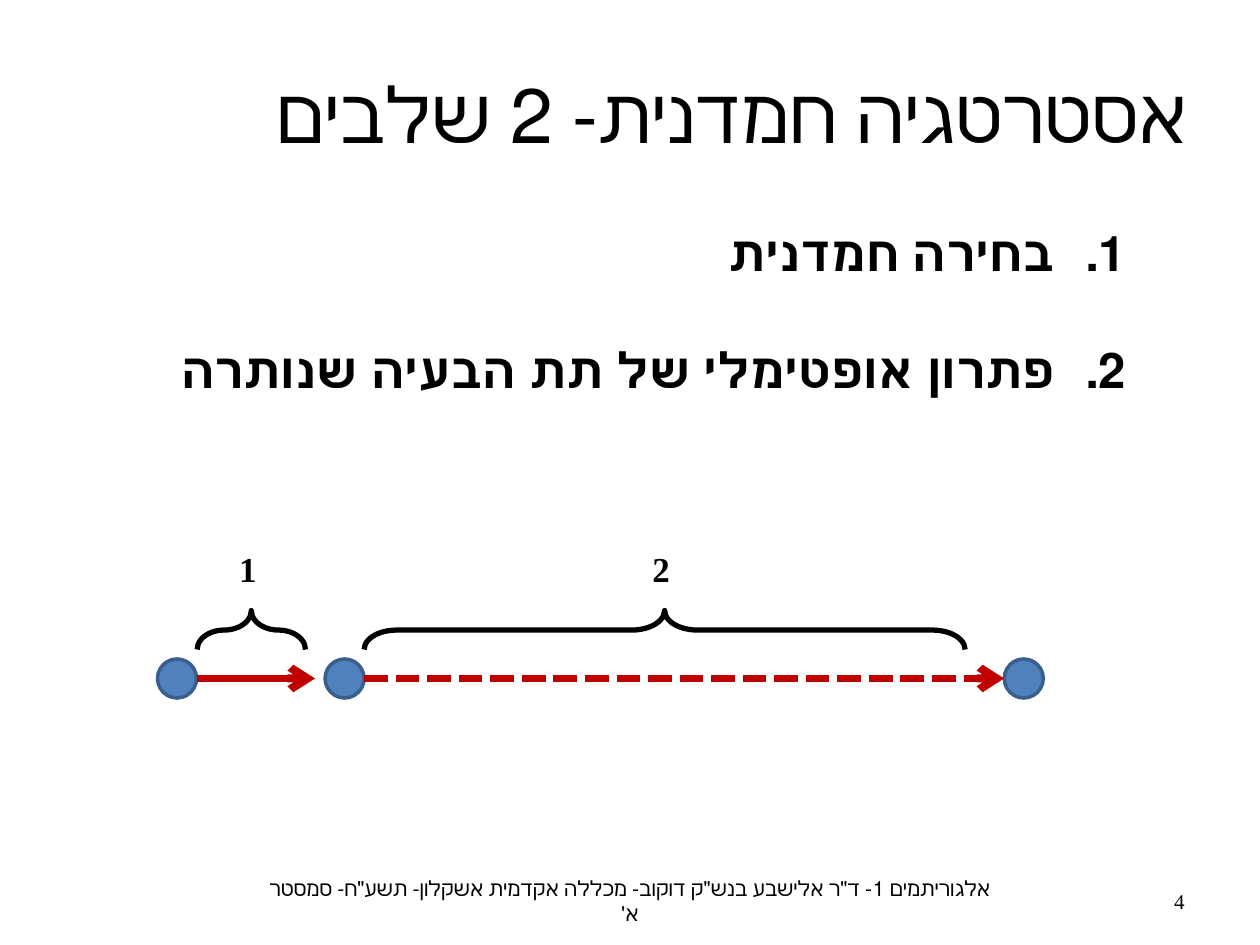
"""Build the slide on the two stages of a greedy strategy."""
from lxml.etree import SubElement
from pptx import Presentation
from pptx.dml.color import RGBColor
from pptx.enum.dml import MSO_LINE_DASH_STYLE as Dash
from pptx.enum.shapes import MSO_CONNECTOR as Connector, MSO_SHAPE as Shape
from pptx.enum.text import MSO_ANCHOR as Anchor, MSO_AUTO_SIZE as Fit, PP_ALIGN as Align
from pptx.oxml.ns import qn
from pptx.util import Inches, Pt

BLACK = RGBColor(0x00, 0x00, 0x00)
BLUE = RGBColor(0x4F, 0x81, 0xBD)
NAVY = RGBColor(0x3A, 0x5F, 0x8C)
RED = RGBColor(0xC0, 0x00, 0x00)
FONT = "Times New Roman"

deck = Presentation()
deck.slide_width, deck.slide_height = Inches(10), Inches(7.5)
COLUMN, ROW = deck.slide_width / 100, deck.slide_height / 75
page = deck.slides.add_slide(deck.slide_layouts[5])


def area(left, top, width, height):
    """Turn grid columns and rows into slide lengths."""
    return [round(left * COLUMN), round(top * ROW), round(width * COLUMN), round(height * ROW)]


def write(box, *texts, size, bold=False, align=Align.LEFT, rtl=False,
          anchor=Anchor.TOP, fit=Fit.NONE, wrap=True, numbered=False, gap=0):
    """Fill a box with one formatted paragraph per text."""
    frame = box.text_frame
    frame.word_wrap, frame.auto_size, frame.vertical_anchor = wrap, fit, anchor
    for index, text in enumerate(texts):
        para = frame.add_paragraph() if index else frame.paragraphs[0]
        para.alignment = align
        properties = para._p.get_or_add_pPr()
        if rtl:
            properties.set("rtl", "1")
        if index:
            para.space_before = Pt(gap)
        if numbered:
            para.level = 1
            properties.set("marL", str(Inches(1.06)))
            properties.set("indent", str(Inches(-0.56)))
            SubElement(properties, qn("a:buFont"), typeface="+mj-lt")
            SubElement(properties, qn("a:buAutoNum"), type="arabicPeriod")
        span = para.add_run()
        span.text = text
        span.font.name, span.font.size, span.font.bold = FONT, Pt(size), bold
        span.font.color.rgb = BLACK


title = page.shapes.title
title.left, title.top, title.width, title.height = area(3.9, 3.1, 91.4, 11.7)
write(title, "אסטרטגיה חמדנית- 2 שלבים", size=44, align=Align.RIGHT, rtl=True, anchor=Anchor.MIDDLE)

footer = page.shapes.add_textbox(*area(20.3, 69.5, 59.4, 4))
write(footer, "אלגוריתמים 1- ד\"ר אלישבע בנש\"ק דוקוב- מכללה אקדמית אשקלון- תשע\"ח- סמסטר א'",
      size=12, align=Align.CENTER, rtl=True, anchor=Anchor.MIDDLE)
number = page.shapes.add_textbox(*area(71.7, 69.5, 23.3, 4))
write(number, "4", size=12, align=Align.RIGHT, anchor=Anchor.MIDDLE)

stages = page.shapes.add_textbox(*area(5.5, 17.2, 89.8, 15.1))
write(stages, "בחירה חמדנית", "פתרון אופטימלי של תת הבעיה שנותרה", size=28, bold=True,
      align=Align.RIGHT, rtl=True, fit=Fit.SHAPE_TO_FIT_TEXT, numbered=True, gap=33)

DOT, DOT_TOP = 3.1, 52.3
for left in (12.5, 25.8, 79.7):
    dot = page.shapes.add_shape(Shape.OVAL, *area(left, DOT_TOP, DOT, DOT))
    dot.shadow.inherit = False
    dot.fill.solid()
    dot.fill.fore_color.rgb = BLUE
    dot.line.color.rgb, dot.line.width = NAVY, Pt(2)

middle = DOT_TOP + DOT / 2
for start, end, dash in ((15.6, 25, None), (28.9, 79.7, Dash.SQUARE_DOT)):
    left, top, width, _ = area(start, middle, end - start, 0)
    arrow = page.shapes.add_connector(Connector.STRAIGHT, left, top, left + width, top)
    arrow.line.color.rgb, arrow.line.width = RED, Pt(4.5)
    if dash:
        arrow.line.dash_style = dash
    SubElement(arrow.line._get_or_add_ln(), qn("a:tailEnd"), type="arrow")
    SubElement(arrow._element.spPr, qn("a:effectLst"))

BRACE, BRACE_MIDDLE = 3.1, 50
for label, center, span_width in (("1", 19.95, 8.6), ("2", 52.75, 47.7)):
    brace = page.shapes.add_shape(Shape.RIGHT_BRACE, *area(
        center - BRACE / 2, BRACE_MIDDLE - span_width / 2, BRACE, span_width))
    brace.rotation = 270
    brace.adjustments[0], brace.adjustments[1] = 0.838, 0.5
    brace.shadow.inherit = False
    brace.fill.background()
    brace.line.color.rgb, brace.line.width = BLACK, Pt(3)
    caption = page.shapes.add_textbox(*area(center - 1.95, 43, 3.9, 4.4))
    write(caption, label, size=20, bold=True, fit=Fit.SHAPE_TO_FIT_TEXT, wrap=False)

deck.save("out.pptx")
